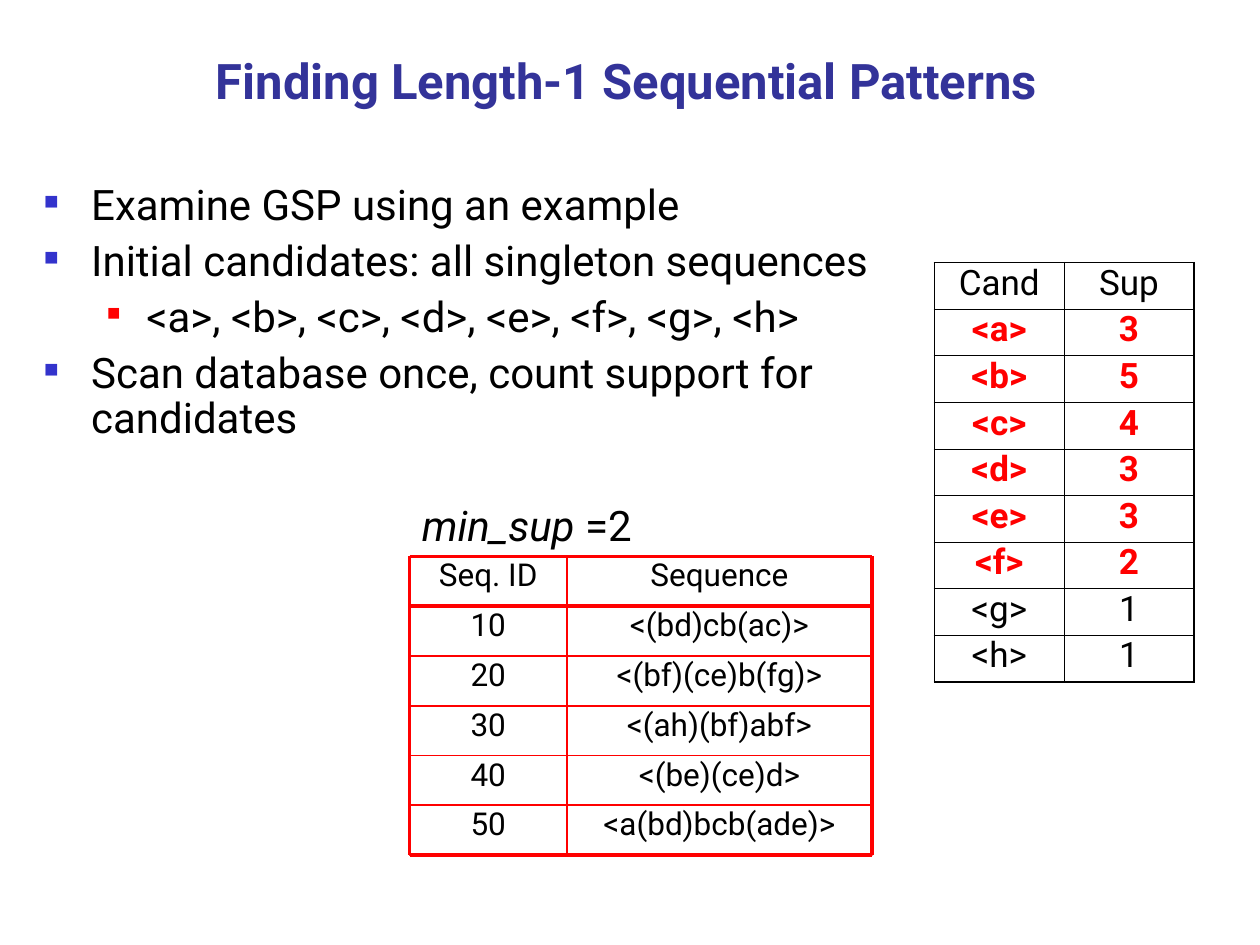
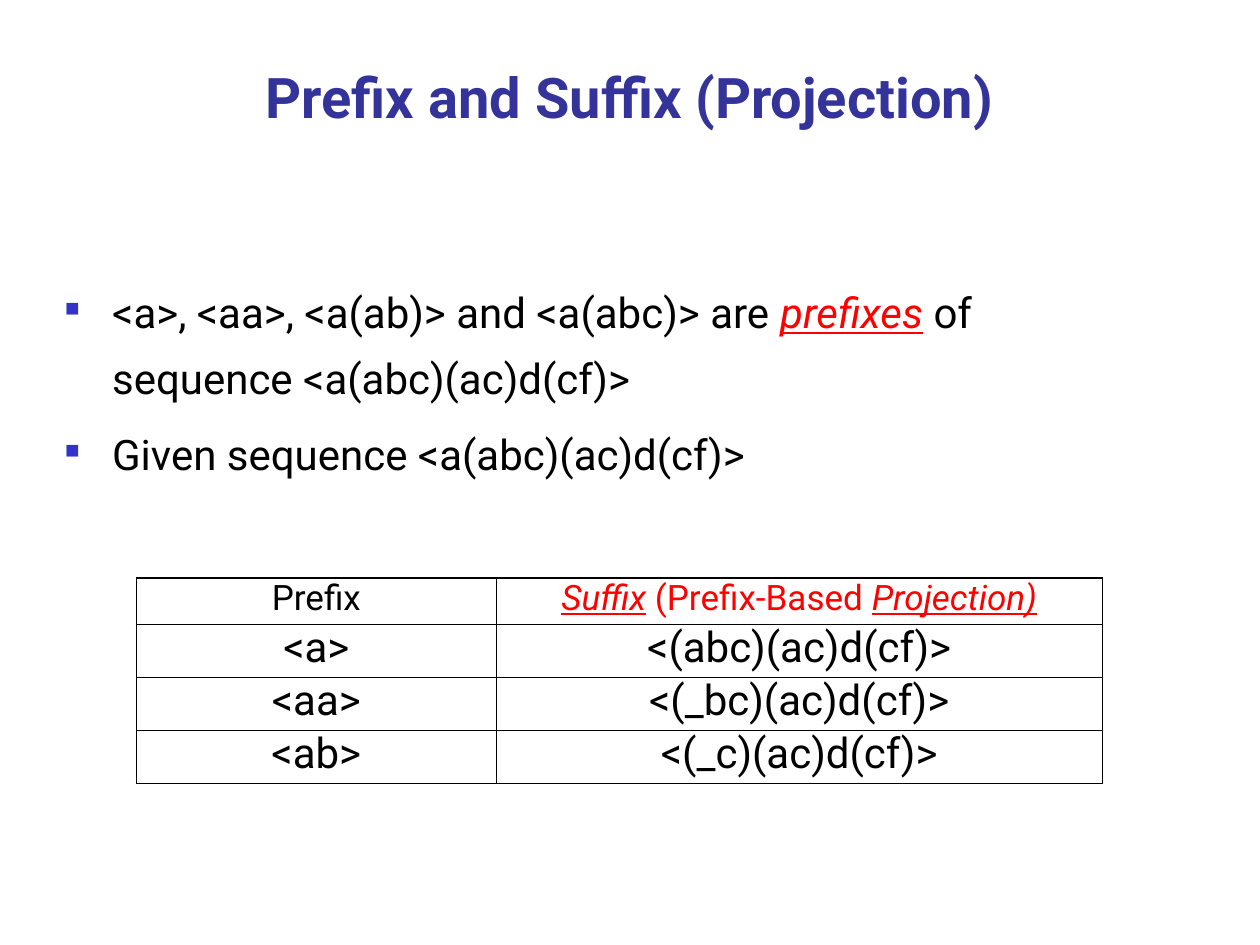
import dataclasses
import itertools

import pptx
import pptx.dml.color
import pptx.enum.shapes
import pptx.enum.text
import pptx.oxml
import pptx.oxml.ns
import pptx.presentation
import pptx.slide
import pptx.table
import pptx.text.text
import pptx.util

FONT = "Roboto"
BLACK = "000000"
RED = "FF0000"
TITLE_BLUE = "333399"
BULLET_BLUE = "3333CC"
CENTER = pptx.enum.text.PP_ALIGN.CENTER


@dataclasses.dataclass(frozen=True)
class Span:
    text: str
    size: float = 24
    color: str = BLACK
    bold: bool = False
    italic: bool = False
    underline: bool = False


@dataclasses.dataclass(frozen=True)
class BulletStyle:
    margin: float
    indent: float
    color: str
    percent: int


@dataclasses.dataclass(frozen=True)
class Bullet:
    style: BulletStyle
    spans: list[Span]


@dataclasses.dataclass(frozen=True)
class Box:
    left: float
    top: float
    width: float
    height: float

    def lengths(self) -> list[pptx.util.Length]:
        return [pptx.util.Pt(value) for value in dataclasses.astuple(self)]


@dataclasses.dataclass(frozen=True)
class Grid:
    left: float
    top: float
    columns: list[float]
    rows: list[float]
    cells: list[list[list[Span]]]


MAIN = BulletStyle(27, -27, BULLET_BLUE, 48)
SUB = BulletStyle(58.5, -22.5, RED, 44)


def rgb(color: str) -> pptx.dml.color.RGBColor:
    return pptx.dml.color.RGBColor.from_string(color)


def xml(tag: str, **attributes: str):
    element = pptx.oxml.parse_xml(f"<a:{tag} {pptx.oxml.ns.nsdecls('a')}/>")
    for name, value in attributes.items():
        element.set(name, value)
    return element


def add_spans(paragraph: pptx.text.text._Paragraph, spans: list[Span]) -> None:
    for span in spans:
        run = paragraph.add_run()
        run.text = span.text
        font = run.font
        font.name, font.size = FONT, pptx.util.Pt(span.size)
        font.bold, font.italic, font.underline = span.bold, span.italic, span.underline
        font.color.rgb = rgb(span.color)


def fill_cell(frame: pptx.text.text.TextFrame, spans: list[Span]) -> None:
    paragraph = frame.paragraphs[0]
    paragraph.alignment = CENTER
    paragraph.line_spacing = 0.8
    add_spans(paragraph, spans)


def add_box(slide: pptx.slide.Slide, box: Box) -> pptx.text.text.TextFrame:
    frame = slide.shapes.add_textbox(*box.lengths()).text_frame
    frame.word_wrap = True
    return frame


def add_title(slide: pptx.slide.Slide, box: Box, text: str, size: float) -> None:
    frame = add_box(slide, box)
    frame.vertical_anchor = pptx.enum.text.MSO_ANCHOR.BOTTOM
    frame.paragraphs[0].alignment = CENTER
    add_spans(frame.paragraphs[0], [Span(text, size, TITLE_BLUE, bold=True)])


def set_bullet(paragraph: pptx.text.text._Paragraph, style: BulletStyle) -> None:
    properties = paragraph._p.get_or_add_pPr()
    properties.set("marL", str(pptx.util.Pt(style.margin)))
    properties.set("indent", str(pptx.util.Pt(style.indent)))
    color = xml("buClr")
    color.append(xml("srgbClr", val=style.color))
    properties.append(color)
    properties.append(xml("buSzPct", val=str(style.percent * 1000)))
    properties.append(xml("buChar", char="■"))


def add_bullets(slide: pptx.slide.Slide, box: Box, bullets: list[Bullet], spacing: float) -> None:
    frame = add_box(slide, box)
    for index, bullet in enumerate(bullets):
        paragraph = frame.add_paragraph() if index else frame.paragraphs[0]
        set_bullet(paragraph, bullet.style)
        paragraph.line_spacing = spacing
        paragraph.space_before = pptx.util.Pt(6 if index else 0)
        add_spans(paragraph, bullet.spans)


def set_border(cell: pptx.table._Cell, side: str, width: float) -> None:
    line = xml(f"ln{side}", w=str(pptx.util.Pt(width)))
    fill = xml("solidFill")
    fill.append(xml("srgbClr", val=BLACK))
    line.append(fill)
    cell._tc.get_or_add_tcPr().append(line)


def add_table_grid(slide: pptx.slide.Slide, grid: Grid) -> None:
    row_count, column_count = len(grid.rows), len(grid.columns)
    box = Box(grid.left, grid.top, sum(grid.columns), sum(grid.rows))
    table = slide.shapes.add_table(row_count, column_count, *box.lengths()).table
    table.first_row = table.horz_banding = False
    for column, width in zip(table.columns, grid.columns):
        column.width = pptx.util.Pt(width)
    for row, height in zip(table.rows, grid.rows):
        row.height = pptx.util.Pt(height)

    # Heavier outer frame, hairlines inside
    inner, outer = 0.45, 1.08
    vertical = [outer] + [inner] * (column_count - 1) + [outer]
    horizontal = [outer] + [inner] * (row_count - 1) + [outer]
    for r, row_cells in enumerate(grid.cells):
        for c, spans in enumerate(row_cells):
            cell = table.cell(r, c)
            widths = {"L": vertical[c], "R": vertical[c + 1],
                      "T": horizontal[r], "B": horizontal[r + 1]}
            for side, width in widths.items():
                set_border(cell, side, width)
            cell.fill.background()
            fill_cell(cell.text_frame, spans)


def add_cell_box(slide: pptx.slide.Slide, box: Box, spans: list[Span]) -> None:
    shape = slide.shapes.add_shape(pptx.enum.shapes.MSO_SHAPE.RECTANGLE, *box.lengths())
    shape.shadow.inherit = False
    shape.fill.background()
    shape.line.color.rgb = rgb(RED)
    shape.line.width = pptx.util.Pt(0.75)
    shape.text_frame.word_wrap = True
    shape.text_frame.vertical_anchor = pptx.enum.text.MSO_ANCHOR.TOP
    fill_cell(shape.text_frame, spans)


def add_rule(slide: pptx.slide.Slide, x1: float, y1: float, x2: float, y2: float,
             width: float) -> None:
    ends = [pptx.util.Pt(value) for value in (x1, y1, x2, y2)]
    rule = slide.shapes.add_connector(pptx.enum.shapes.MSO_CONNECTOR.STRAIGHT, *ends)
    rule.line.color.rgb = rgb(RED)
    rule.line.width = pptx.util.Pt(width)
    rule._element.spPr.append(xml("effectLst"))


def add_ruled_grid(slide: pptx.slide.Slide, grid: Grid) -> None:
    """Rectangles as cells, with red rules over their edges."""
    xs = list(itertools.accumulate(grid.columns, initial=grid.left))
    ys = list(itertools.accumulate(grid.rows, initial=grid.top))
    for y, height, row_cells in zip(ys, grid.rows, grid.cells):
        for x, width, spans in zip(xs, grid.columns, row_cells):
            add_cell_box(slide, Box(x, y, width, height), spans)

    # The frame and the line under the header are heavy
    for y in ys:
        add_rule(slide, xs[0], y, xs[-1], y, 2.25 if y in (ys[0], ys[1], ys[-1]) else 1)
    for x in xs:
        add_rule(slide, x, ys[0], x, ys[-1], 2.25 if x in (xs[0], xs[-1]) else 1)


def plain_cells(rows: list[tuple[str, str]], size: float) -> list[list[list[Span]]]:
    return [[[Span(text, size)] for text in row] for row in rows]


def support_cells(supports: dict[str, int], minimum: int) -> list[list[list[Span]]]:
    """Candidates that reach the minimum support are bold red."""
    cells = plain_cells([("Cand", "Sup")], 20)
    for name, support in supports.items():
        frequent = support >= minimum
        color = RED if frequent else BLACK
        cells.append([[Span(text, 20, color, bold=frequent)]
                      for text in (f"<{name}>", str(support))])
    return cells


def build_length_one(slide: pptx.slide.Slide) -> None:
    add_title(slide, Box(54, 22, 607.68, 43.92), "Finding Length-1 Sequential Patterns", 28)
    add_bullets(slide, Box(18, 102, 497.52, 232.56), [
        Bullet(MAIN, [Span("Examine GSP using an example")]),
        Bullet(MAIN, [Span("Initial candidates: all singleton sequences")]),
        Bullet(SUB, [Span("<a>, <b>, <c>, <d>, <e>, <f>, <g>, <h>")]),
        Bullet(MAIN, [Span("Scan database once, count support for candidates")]),
    ], 0.9)

    # Sequence database with its support threshold
    sequences = [
        ("Seq. ID", "Sequence"),
        ("10", "<(bd)cb(ac)>"),
        ("20", "<(bf)(ce)b(fg)>"),
        ("30", "<(ah)(bf)abf>"),
        ("40", "<(be)(ce)d>"),
        ("50", "<a(bd)bcb(ade)>"),
    ]
    add_ruled_grid(slide, Grid(234, 318, [90, 174.24], [28.44] * 6,
                               plain_cells(sequences, 18)))
    threshold = add_box(slide, Box(234, 282, 144, 36))
    add_spans(threshold.paragraphs[0], [Span("min_sup ", italic=True), Span("=2")])

    # Support of each candidate
    supports = dict(a=3, b=5, c=4, d=3, e=3, f=2, g=1, h=1)
    add_table_grid(slide, Grid(534, 150.1, [74.1] * 2, [26.64] * 9,
                               support_cells(supports, 2)))


def build_prefix_suffix(slide: pptx.slide.Slide) -> None:
    add_title(slide, Box(83.75, 25.2, 552.24, 52.56), "Prefix and Suffix (Projection)", 32)
    add_bullets(slide, Box(30, 151.75, 639.36, 149.76), [
        Bullet(MAIN, [
            Span("<a>, <aa>, <a(ab)> and <a(abc)> are "),
            Span("prefixes", color=RED, italic=True, underline=True),
            Span(" of sequence <a(abc)(ac)d(cf)>"),
        ]),
        Bullet(MAIN, [Span("Given sequence <a(abc)(ac)d(cf)>")]),
    ], 1.3)

    # Suffix left after each prefix
    header = [
        [Span("Prefix", 20)],
        [Span("Suffix", 20, RED, italic=True, underline=True),
         Span(" (Prefix-Based ", 20, RED),
         Span("Projection)", 20, RED, italic=True, underline=True)],
    ]
    projections = [
        ("<a>", "<(abc)(ac)d(cf)>"),
        ("<aa>", "<(_bc)(ac)d(cf)>"),
        ("<ab>", "<(_c)(ac)d(cf)>"),
    ]
    add_table_grid(slide, Grid(78, 330.2, [205.5, 346.5], [26.64] + [30.3] * 3,
                               [header] + plain_cells(projections, 24)))


def main() -> None:
    presentation = pptx.Presentation()
    presentation.slide_width = pptx.util.Pt(720)
    presentation.slide_height = pptx.util.Pt(540)
    blank = presentation.slide_layouts[6]
    for build in (build_length_one, build_prefix_suffix):
        build(presentation.slides.add_slide(blank))
    presentation.save("out.pptx")


if __name__ == "__main__":
    main()
